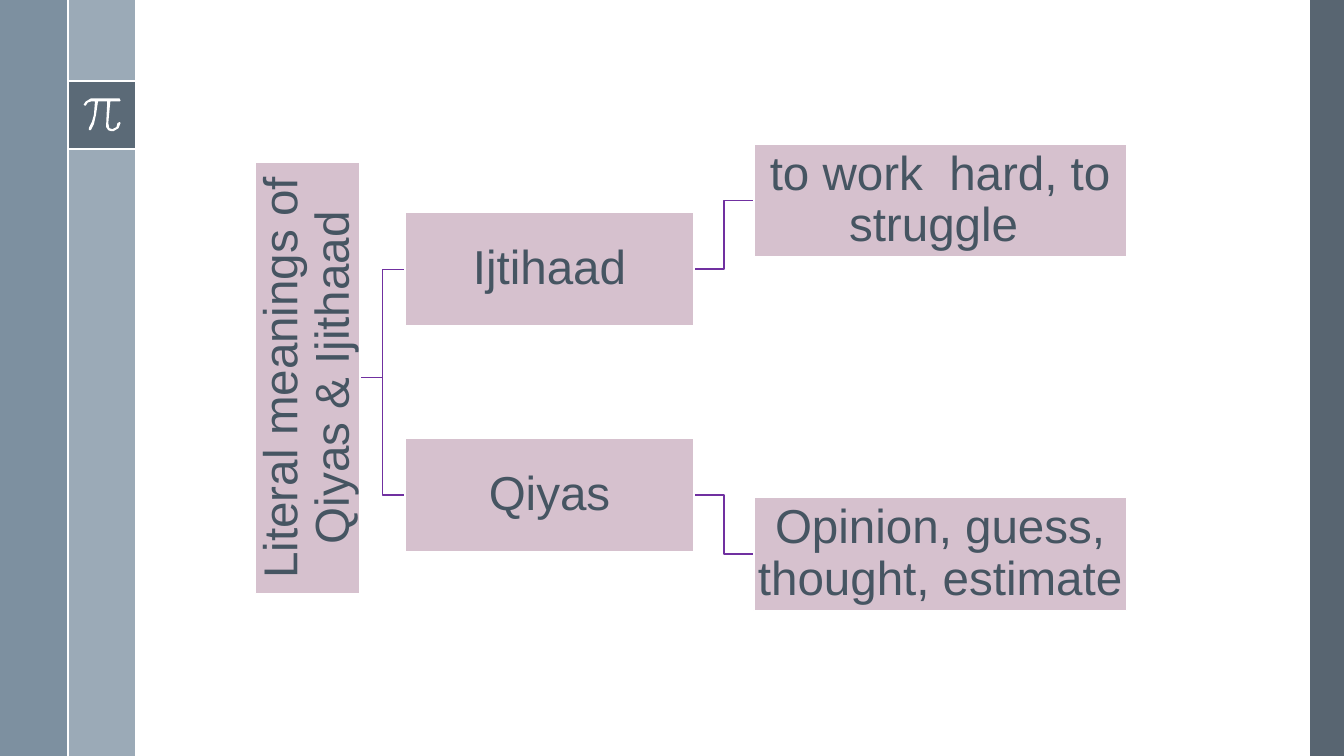
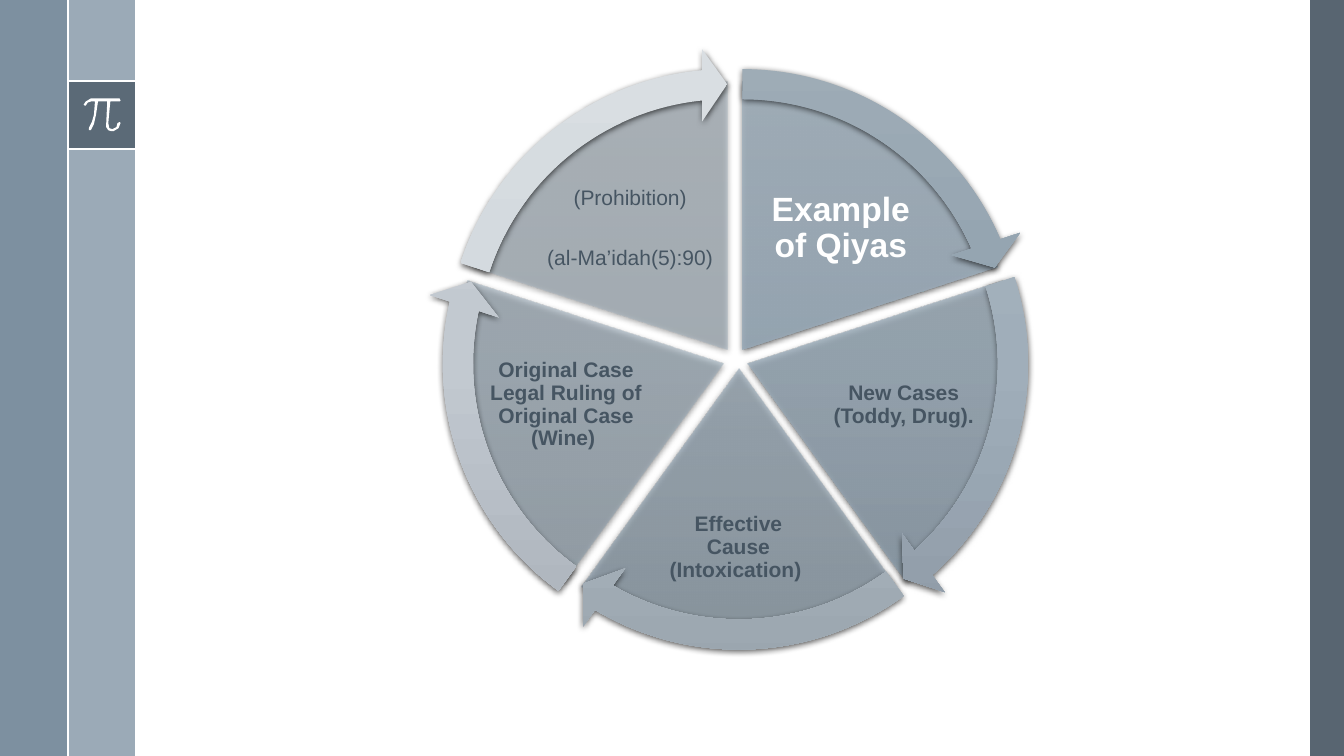
import copy

import pptx
import pptx.dml.color
import pptx.enum.shapes
import pptx.enum.text
import pptx.oxml
import pptx.oxml.ns
import pptx.util

Cm = pptx.util.Cm
Pt = pptx.util.Pt
RGBColor = pptx.dml.color.RGBColor
SHAPE = pptx.enum.shapes.MSO_SHAPE
CONNECTOR = pptx.enum.shapes.MSO_CONNECTOR
qn = pptx.oxml.ns.qn

WHITE = RGBColor(0xFF, 0xFF, 0xFF)
SLATE = RGBColor(0x46, 0x55, 0x62)
STEEL = RGBColor(0x6A, 0x80, 0x93)
MIST = RGBColor(0x9B, 0xAA, 0xB7)
MAUVE = RGBColor(0xD6, 0xC1, 0xCE)
PURPLE = RGBColor(0x70, 0x30, 0xA0)
SLICE_COLORS = [RGBColor.from_string(code) for code in ("A5B3BE", "99AAB8", "8596A3")]
ARROW_COLORS = [
    [RGBColor.from_string(code) for code in codes]
    for codes in (
        ("9EACB6", "91A2AF", "7E8E9B"),
        ("ACB7C0", "A0AEBA", "8D99A5"),
        ("BBC4CC", "B1BCC5", "9BA6AF"),
        ("CAD0D7", "C2C9D0", "A9B0B9"),
        ("D9DEE2", "D1D8DD", "B8BDC4"),
    )
]
FONT = "Arial"
SLIDE_WIDTH, SLIDE_HEIGHT = 33.87, 19.05
BAND = 1.7
BADGE_TOP = 2.05

PI_OUTLINE = [
    (35, 0), (7, 0), (2, 3), (0, 6), (1, 7), (2, 7), (4, 4), (7, 3), (11, 3),
    (10, 16), (8, 23), (5, 29), (5, 31), (7, 31), (10, 25), (12, 16), (14, 3),
    (23, 3), (22, 24), (22, 28), (24, 31), (27, 32), (29, 32), (34, 29), (36, 24),
    (35, 23), (33, 24), (32, 28), (28, 30), (25, 29), (24, 24), (26, 3), (35, 3),
    (36, 2),
]

SLICE_RADIUS = 6.76
RING_RADIUS = 7.6
SLICE_ANGLE = 72
HEAD_ANGLE = 5.46
ANGLE_UNIT = 0.6
SLICES = [
    ((0.19, -0.29), (0.5, -4.78, 4.34, 2.9), ["Example of Qiyas"], 24, WHITE, True),
    ((0.32, 0.07), (2.25, -0.51, 4.01, 3.23), ["New Cases (Toddy, Drug)."], 15, SLATE, True),
    ((0.1, 0.2), (-1.84, 2.94, 3.86, 3.53), ["Effective Cause (Intoxication) "], 15, SLATE, True),
    ((-0.29, 0.07), (-6.26, -0.51, 4.01, 3.23),
     ["Original Case Legal Ruling of Original Case (Wine) "], 15, SLATE, True),
    ((-0.19, -0.29), (-4.81, -4.78, 4.34, 2.9),
     ["(Prohibition)", "(al-Ma’idah(5):90)"], 15, SLATE, False),
]


def set_alpha(color_parent, percent):
    color = color_parent.find(".//" + qn("a:srgbClr"))
    color.append(color.makeelement(qn("a:alpha"), {"val": str(percent * 1000)}))


def fill_solid(shape, color, percent=100):
    shape.shadow.inherit = False
    shape.fill.solid()
    shape.fill.fore_color.rgb = color
    shape.line.fill.background()
    if percent < 100:
        set_alpha(shape.element.spPr.find(qn("a:solidFill")), percent)


def fill_gradient(shape, colors, percent=100):
    shape.fill.gradient()
    shape.fill.gradient_angle = 270
    stop_list = shape.element.spPr.find(".//" + qn("a:gsLst"))
    stop_list.append(copy.deepcopy(stop_list[0]))
    for index, (stop, color) in enumerate(zip(shape.fill.gradient_stops, colors)):
        stop.position = index / 2
        stop.color.rgb = color
        if percent < 100:
            set_alpha(stop_list[index], percent)
    shape.line.fill.background()


def add_soft_shadow(shape):
    shape.shadow.inherit = False
    effects = shape.element.spPr.find(qn("a:effectLst"))
    effects.append(pptx.oxml.parse_xml(
        '<a:outerShdw xmlns:a="http://schemas.openxmlformats.org/drawingml/2006/main" '
        'blurRad="57150" dist="19050" dir="5400000" algn="ctr" rotWithShape="0">'
        '<a:srgbClr val="000000"><a:alpha val="63000"/></a:srgbClr></a:outerShdw>'))


def add_box(slide, left, top, width, height, color, percent=100):
    shape = slide.shapes.add_shape(SHAPE.RECTANGLE, Cm(left), Cm(top), Cm(width), Cm(height))
    fill_solid(shape, color, percent)
    return shape


def add_line(slide, kind, start, end, color, weight):
    line = slide.shapes.add_connector(
        kind, Cm(start[0]), Cm(start[1]), Cm(end[0]), Cm(end[1]))
    line.line.color.rgb = color
    line.line.width = Pt(weight)
    properties = line.element.spPr
    properties.append(properties.makeelement(qn("a:effectLst"), {}))
    return line


def write_text(shape, lines, size, color, bold=False, gap=0):
    frame = shape.text_frame
    frame.word_wrap = True
    frame.vertical_anchor = pptx.enum.text.MSO_ANCHOR.MIDDLE
    frame.margin_left = frame.margin_right = Cm(0.06)
    frame.margin_top = frame.margin_bottom = Cm(0.06)
    frame.text = "\n".join(lines)
    for index, paragraph in enumerate(frame.paragraphs):
        paragraph.alignment = pptx.enum.text.PP_ALIGN.CENTER
        paragraph.line_spacing = 0.9
        paragraph.space_before = Pt(gap if index else 0)
        for run in paragraph.runs:
            run.font.name = FONT
            run.font.size = Pt(size)
            run.font.bold = bold
            run.font.color.rgb = color


def add_pi_sign(slide, left, top, width):
    unit = width / 36
    points = [(Cm(left + x * unit), Cm(top + y * unit)) for x, y in PI_OUTLINE]
    builder = slide.shapes.build_freeform(*points[0], scale=1.0)
    builder.add_line_segments(points[1:], close=True)
    fill_solid(builder.convert_to_shape(), WHITE)


def add_bands(slide):
    add_box(slide, SLIDE_WIDTH - BAND / 2, 0, BAND / 2, SLIDE_HEIGHT, SLATE, 90)
    add_box(slide, BAND, 0, BAND, SLIDE_HEIGHT, MIST)
    add_box(slide, 0, 0, BAND, SLIDE_HEIGHT, STEEL, 87)
    add_box(slide, BAND, BADGE_TOP, BAND, BAND, SLATE, 75)
    for y in (BADGE_TOP, BADGE_TOP + BAND):
        add_line(slide, CONNECTOR.STRAIGHT, (BAND, y), (2 * BAND, y), WHITE, 1.5)
    add_pi_sign(slide, BAND + 0.41, BADGE_TOP + 0.43, 0.93)
    edge = BAND + 0.01
    add_line(slide, CONNECTOR.STRAIGHT, (edge, 0), (edge, SLIDE_HEIGHT), WHITE, 1.5)


def add_tree(slide, left, top):
    def add_node(x, y, width, height, text):
        node = add_box(slide, left + x, top + y, width, height, MAUVE)
        node.line.color.rgb = WHITE
        node.line.width = Pt(1)
        write_text(node, [text], 34, SLATE)
        return node

    def join(parent, child):
        elbow = add_line(slide, CONNECTOR.ELBOW, (0, 0), (1, 1), PURPLE, 1)
        elbow.begin_connect(parent, 3)
        elbow.end_connect(child, 1)
        root.element.addprevious(elbow.element)

    root = add_node(0, 0.45, 2.63, 10.88, "Literal meanings of Qiyas & Ijithaad")
    root.text_frame._txBody.bodyPr.set("vert", "vert270")
    branches = [
        ("Ijtihaad", 1.73, "to work  hard, to struggle ", 0),
        ("Qiyas", 7.42, "Opinion, guess, thought, estimate", 8.91),
    ]
    for term, term_top, meaning, meaning_top in branches:
        term_node = add_node(3.77, term_top, 7.28, 2.85, term)
        meaning_node = add_node(12.56, meaning_top, 9.39, 2.85, meaning)
        join(root, term_node)
        join(term_node, meaning_node)


def add_wheel_part(slide, kind, center, radius, adjustments, colors, percent=100):
    shape = slide.shapes.add_shape(
        kind, Cm(center[0] - radius), Cm(center[1] - radius), Cm(2 * radius), Cm(2 * radius))
    for index, value in enumerate(adjustments):
        shape.adjustments[index] = value
    fill_gradient(shape, colors, percent)
    add_soft_shadow(shape)


def add_wheel(slide, left, top, size):
    hub_x, hub_y = left + size / 2, top + size / 2
    arrows = []
    for index, (offset, label_box, lines, text_size, color, bold) in enumerate(SLICES):
        center = hub_x + offset[0], hub_y + offset[1]
        start = (270 + SLICE_ANGLE * index) % 360
        end = (start + SLICE_ANGLE) % 360
        add_wheel_part(slide, SHAPE.PIE, center, SLICE_RADIUS,
                       (start * ANGLE_UNIT, end * ANGLE_UNIT), SLICE_COLORS, 90 - 10 * index)
        x, y, width, height = label_box
        label = slide.shapes.add_textbox(Cm(hub_x + x), Cm(hub_y + y), Cm(width), Cm(height))
        write_text(label, lines, text_size, color, bold, gap=26.5)
        turn = (0.05, HEAD_ANGLE * ANGLE_UNIT, (end - HEAD_ANGLE) * ANGLE_UNIT,
                start * ANGLE_UNIT, 0.06)
        arrows.append((center, RING_RADIUS, turn, ARROW_COLORS[index]))
    for arrow in arrows:
        add_wheel_part(slide, SHAPE.CIRCULAR_ARROW, *arrow)


def main():
    presentation = pptx.Presentation()
    presentation.slide_width = Cm(SLIDE_WIDTH)
    presentation.slide_height = Cm(SLIDE_HEIGHT)
    blank = presentation.slide_layouts[6]
    for add_diagram, box in ((add_tree, (6.44, 3.63)), (add_wheel, (10.62, 1.2, 15.8))):
        slide = presentation.slides.add_slide(blank)
        add_bands(slide)
        add_diagram(slide, *box)
    presentation.save("out.pptx")


if __name__ == "__main__":
    main()
